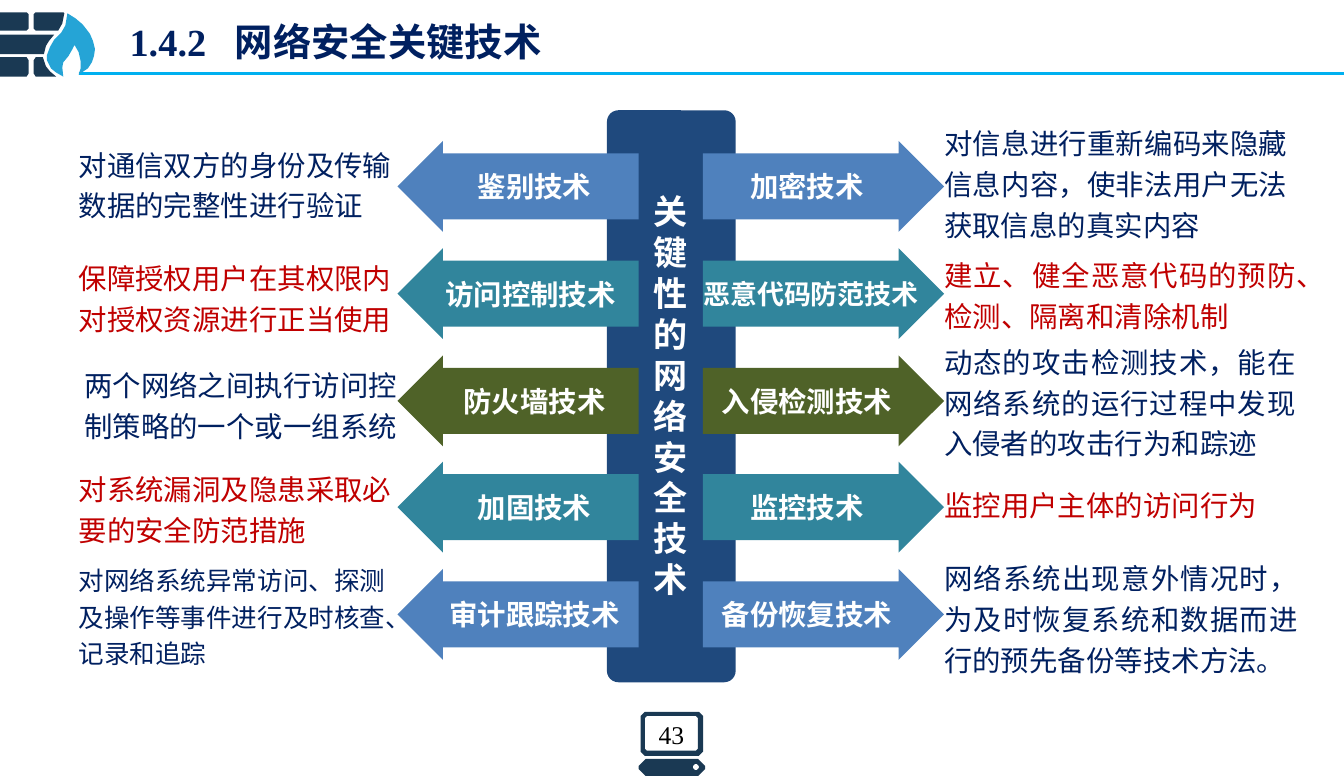
from dataclasses import dataclass

from lxml import etree
from pptx import Presentation
from pptx import util as u
from pptx.dml.color import RGBColor
from pptx.enum import shapes, text
from pptx.oxml.ns import qn

PX = 9144  # EMU per px, 100 px to the inch


@dataclass(frozen=True)
class Theme:
    serif: str = "Times New Roman"
    sans: str = "Noto Sans CJK SC"
    navy: str = "002060"
    red: str = "C00000"
    white: str = "FFFFFF"
    black: str = "000000"
    pillar: str = "1F497D"
    blue: str = "4F81BD"
    teal: str = "31859C"
    olive: str = "4F6228"
    icon: str = "1A3953"
    flame: str = "25A4D6"
    rule: str = "00B0F0"
    title_size: int = 27
    pillar_size: int = 24
    body_size: int = 20
    tight_size: int = 19
    small_size: int = 18


T = Theme()
LEFT, CENTER, JUSTIFY = text.PP_ALIGN.LEFT, text.PP_ALIGN.CENTER, text.PP_ALIGN.JUSTIFY
ROW_TOP, ROW_STEP = 138, 419 / 4

# One row per pair of arrows: fill, left label, right label, right size, tail inset
TECHNIQUES = [
    (T.blue, "鉴别技术", "加密技术", T.body_size, 0),
    (T.teal, "访问控制技术", "恶意代码防范技术", T.tight_size, 8),
    (T.olive, "防火墙技术", "入侵检测技术", T.body_size, 0),
    (T.teal, "加固技术", "监控技术", T.body_size, 0),
    (T.blue, "审计跟踪技术", "备份恢复技术", T.body_size, 0),
]

# Box, wording, alignment, size, line spacing; colours alternate down each side
LEFT_NOTES = [
    ((77, 138, 322, 81), "对通信双方的身份及传输数据的完整性进行验证", LEFT, T.body_size, 1.2),
    ((77, 249, 322, 81), "保障授权用户在其权限内对授权资源进行正当使用", LEFT, T.body_size, 1.2),
    ((77, 354, 317, 77), "两个网络之间执行访问控制策略的一个或一组系统", CENTER, T.body_size, 1.2),
    ((77, 456, 317, 81), "对系统漏洞及隐患采取必要的安全防范措施", LEFT, T.body_size, 1.2),
    ((77, 547, 306, 109), "对网络系统异常访问、探测及操作等事件进行及时核查、记录和追踪",
     LEFT, T.small_size, 1.2),
]
RIGHT_NOTES = [
    ((924, 117, 336, 121), "对信息进行重新编码来隐藏信息内容，使非法用户无法获取信息的真实内容",
     JUSTIFY, T.body_size, 1.2),
    ((924, 246, 345, 81), "建立、健全恶意代码的预防、检测、隔离和清除机制", JUSTIFY, T.body_size, 1.2),
    ((924, 331, 344, 121), "动态的攻击检测技术，能在网络系统的运行过程中发现入侵者的攻击行为和踪迹",
     JUSTIFY, T.body_size, 1.2),
    ((924, 478, 352, 34), "监控用户主体的访问行为", JUSTIFY, T.body_size, 1.0),
    ((924, 543, 346, 124), "网络系统出现意外情况时，为及时恢复系统和数据而进行的预先备份等技术方法。",
     JUSTIFY, T.body_size, 1.2),
]

BRICKS = [
    [(0, 12), (26, 12), (28, 14), (28, 28), (26, 30), (0, 30)],
    [(35, 12), (62, 12), (63, 13), (61, 23), (57, 30), (35, 30), (33, 28), (33, 14)],
    [(0, 34), (53, 34), (48, 40), (45, 45), (43, 53), (0, 53)],
    [(0, 56), (26, 56), (28, 59), (28, 72), (26, 75), (0, 75)],
    [(35, 56), (42, 56), (45, 65), (49, 70), (55, 75), (35, 75), (33, 72), (33, 59)],
]
FLAME = [
    (66, 13), (74, 18), (81, 24), (88, 33), (91, 40), (93, 48), (92, 55), (90, 61),
    (86, 67), (77, 73), (79, 67), (79, 60), (77, 51), (73, 44), (71, 48), (67, 55),
    (62, 61), (61, 66), (62, 75), (55, 71), (50, 67), (46, 59), (46, 54), (49, 46),
    (53, 39), (60, 32), (64, 25),
]
# Case, screen, base and lamp of the small computer: left, top, right, bottom, corner
COMPUTER = [
    (627, 697, 688, 740, 4), (631, 701, 683, 735, 2),
    (625, 743, 690, 760, 7), (678, 748, 684, 754, 2),
]


def px(*lengths):
    return [u.Emu(length * PX) for length in lengths]


def paint(shape, colour):
    shape.shadow.inherit = False
    shape.fill.solid()
    shape.fill.fore_color.rgb = RGBColor.from_string(colour)
    shape.line.fill.background()


def add_block(slide, kind, box, colour, *adjustments):
    block = slide.shapes.add_shape(kind, *px(*box))
    paint(block, colour)
    for index, value in enumerate(adjustments):
        block.adjustments[index] = value
    return block


def cut_corners(left, top, right, bottom, cut):
    return [(left + cut, top), (right - cut, top), (right, top + cut), (right, bottom - cut),
            (right - cut, bottom), (left + cut, bottom), (left, bottom - cut), (left, top + cut)]


def add_outline(slide, colour, *contours):
    """Fill one shape; a contour inside another becomes a hole."""
    builder = slide.shapes.build_freeform(*contours[0][0], scale=PX)
    for index, points in enumerate(contours):
        if index:
            builder.move_to(*points[0])
        builder.add_line_segments(points[1:], close=True)
    paint(builder.convert_to_shape(), colour)


def write(frame, words, size, colour, font=T.serif, align=CENTER, bold=False,
          insets=(0, 0, 0, 0), wrap=True, anchor=text.MSO_ANCHOR.TOP, spacing=1.0, tab=None):
    frame.word_wrap = wrap
    frame.vertical_anchor = anchor
    (frame.margin_left, frame.margin_top,
     frame.margin_right, frame.margin_bottom) = px(*insets)
    line = frame.paragraphs[0]
    line.text = words
    line.alignment = align
    line.line_spacing = spacing
    if tab:
        stops = etree.SubElement(line._p.get_or_add_pPr(), qn("a:tabLst"))
        etree.SubElement(stops, qn("a:tab"), pos=str(tab * PX), algn="l")
    line.font.name = font
    line.font.size = u.Pt(size)
    line.font.bold = bold
    line.font.color.rgb = RGBColor.from_string(colour)
    east_asian = etree.Element(qn("a:ea"), typeface=T.sans)
    line.font._element.find(qn("a:latin")).addnext(east_asian)


def add_words(slide, box, words, size, colour, **style):
    write(slide.shapes.add_textbox(*px(*box)).text_frame, words, size, colour, **style)


def add_arrow(slide, kind, left, top, colour, label, size, insets):
    arrow = add_block(slide, kind, (left, top, 236, 89), colour, 0.728, 0.5)
    write(arrow.text_frame, label, size, T.white, bold=True, wrap=False,
          anchor=text.MSO_ANCHOR.MIDDLE, insets=insets)


def add_header(slide):
    rule = slide.shapes.add_connector(shapes.MSO_CONNECTOR.STRAIGHT, *px(77, 72, 1315, 72))
    rule.line.color.rgb = RGBColor.from_string(T.rule)
    rule.line.width = u.Pt(2.25)
    etree.SubElement(rule._element.spPr, qn("a:effectLst"))
    for brick in BRICKS:
        add_outline(slide, T.icon, brick)
    add_outline(slide, T.flame, FLAME)
    add_words(slide, (117, 13, 646, 57), "1.4.2\t网络安全关键技术", T.title_size, T.navy,
              align=LEFT, bold=True, insets=(10, 5, 10, 5), tab=103)


def add_page_number(slide):
    """Draw the small computer with the page number on its screen."""
    add_outline(slide, T.icon, *(cut_corners(*part) for part in COMPUTER))
    add_words(slide, (626, 699, 62, 39), "43", T.small_size, T.black,
              anchor=text.MSO_ANCHOR.MIDDLE)


def add_techniques(slide):
    add_block(slide, shapes.MSO_SHAPE.ROUNDED_RECTANGLE, (594, 108, 126, 560), T.pillar, 0.089)
    add_words(slide, (617, 182, 79, 420), "关键性的网络安全技术", T.pillar_size, T.white,
              bold=True, insets=(10, 5, 10, 5))
    for row, (colour, left_label, right_label, right_size, tail) in enumerate(TECHNIQUES):
        top = round(ROW_TOP + row * ROW_STEP)
        add_arrow(slide, shapes.MSO_SHAPE.RIGHT_ARROW, 688, top, colour,
                  right_label, right_size, (tail, 5, 0, 5))
        add_arrow(slide, shapes.MSO_SHAPE.LEFT_ARROW, 389, top, colour,
                  left_label, T.body_size, (0, 5, tail, 5))


def add_notes(slide, notes):
    for row, (box, words, align, size, spacing) in enumerate(notes):
        add_words(slide, box, words, size, T.red if row % 2 else T.navy,
                  font=T.sans, align=align, spacing=spacing)


def main():
    deck = Presentation()
    deck.slide_width, deck.slide_height = u.Pt(947), u.Pt(547)
    slide = deck.slides.add_slide(deck.slide_layouts[6])
    add_header(slide)
    add_page_number(slide)
    add_techniques(slide)
    add_notes(slide, LEFT_NOTES)
    add_notes(slide, RIGHT_NOTES)
    deck.save("out.pptx")


if __name__ == "__main__":
    main()
